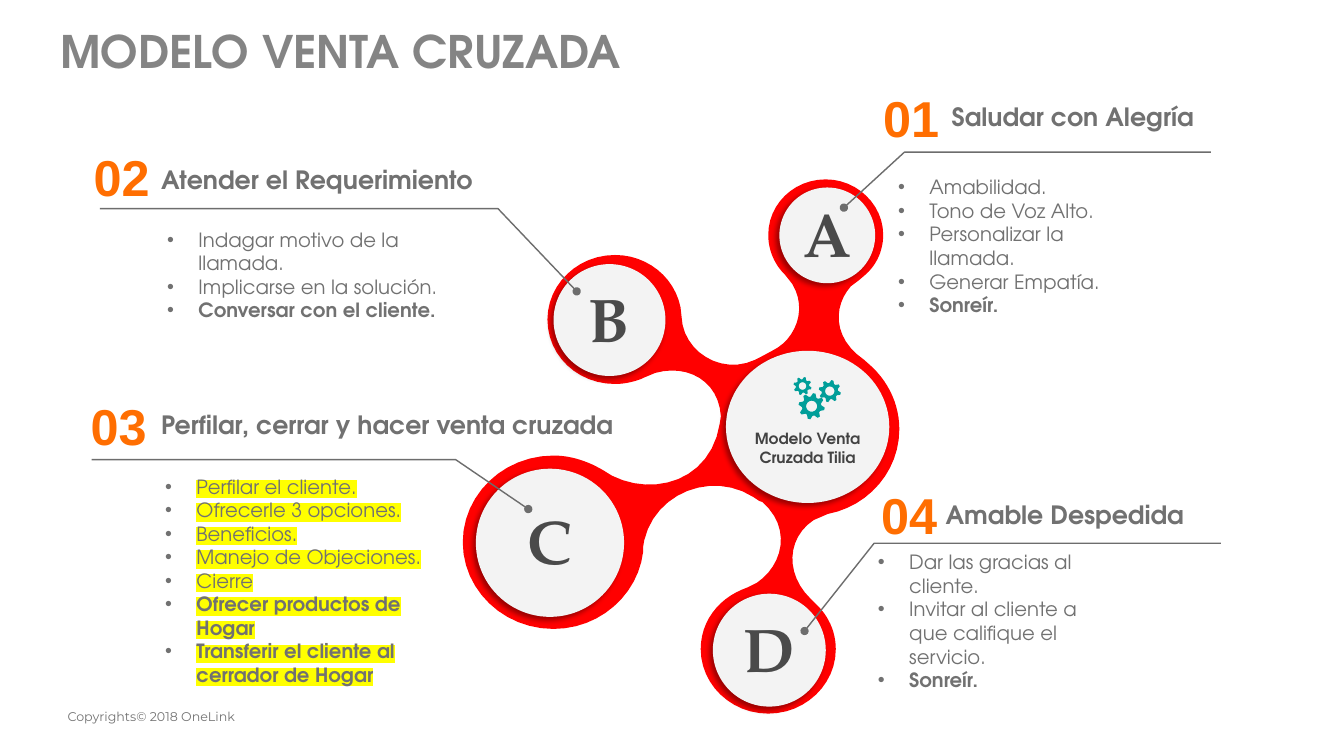
import math
import pptx
import pptx.util
import pptx.dml.color
import pptx.enum.shapes
import pptx.enum.text
import pptx.oxml
import pptx.oxml.ns

RGB = pptx.dml.color.RGBColor
WHITE = RGB(0xFF, 0xFF, 0xFF)
RED = RGB(0xFF, 0x00, 0x00)
ORANGE = RGB(0xFF, 0x6E, 0x01)
TEAL = RGB(0x00, 0x9E, 0x99)
DISC = RGB(0xF3, 0xF3, 0xF3)
LEADER = RGB(0x6D, 0x6D, 0x6D)

SANS = "TeX Gyre Adventor"
TITLE = dict(size=32, name=SANS, bold=True, color=RGB(0x84, 0x84, 0x84))
FOOTER = dict(size=9, name="Montserrat", bold=False, color=RGB(0x73, 0x73, 0x73))
NUMBER = dict(size=36, name="Arial", bold=True, color=ORANGE)
HEADING = dict(size=18, name=SANS, bold=True, color=RGB(0x71, 0x71, 0x71))
DETAIL = HEADING | dict(size=14, bold=False)
LETTER = dict(size=44, name="TeX Gyre Pagella", bold=True, color=RGB(0x4A, 0x4A, 0x4A))
HUB = dict(size=11, name=SANS, bold=True, color=RGB(0x42, 0x42, 0x42))

title = ("MODELO VENTA CRUZADA", (0.5, 0.09, 12.83, 0.9))
footer = ("Copyrights© 2018 OneLink", (0.54, 7.02, 3.71, 0.18))

discs = [
    ("B", (5.49, 2.62, 1.11, 1.11), LETTER, 0.05),
    ("D", (7.07, 5.89, 1.12, 1.12), LETTER, 0.05),
    ("A", (7.73, 1.86, 0.95, 0.95), LETTER, 0.05),
    ("Modelo Venta Cruzada Tilia", (7.2, 3.48, 1.62, 1.51), HUB, 0.52),
    ("C", (4.72, 4.65, 1.47, 1.47), LETTER, 0.05),
]

steps = [
    dict(number="01", number_at=(8.66, 0.82), heading="Saludar con Alegría",
         heading_at=(9.34, 0.96, 2.81, 0.4), leader=[(8.37, 2.06), (8.97, 1.51), (12.01, 1.51)],
         details=["Amabilidad.", "Tono de Voz Alto.", "Personalizar la llamada.",
                  "Generar Empatía.", "Sonreír."],
         details_at=(8.81, 1.69, 2.33, 1.51), bold_from=4, marked=False),
    dict(number="02", number_at=(0.83, 1.4), heading="Atender el Requerimiento",
         heading_at=(1.5, 1.58, 3.5, 0.4), leader=[(5.72, 2.89), (4.94, 2.07), (0.99, 2.07)],
         details=["Indagar motivo de la llamada.", "Implicarse en la solución.",
                  "Conversar con el cliente."],
         details_at=(1.56, 2.21, 3.21, 1.04), bold_from=2, marked=False),
    dict(number="03", number_at=(0.8, 3.87), heading="Perfilar, cerrar y hacer venta cruzada",
         heading_at=(1.5, 4.01, 4.91, 0.4), leader=[(5.24, 5.05), (4.52, 4.56), (0.91, 4.56)],
         details=["Perfilar el cliente.", "Ofrecerle 3 opciones.", "Beneficios.",
                  "Manejo de Objeciones.", "Cierre", "Ofrecer productos de Hogar",
                  "Transferir el cliente al cerrador de Hogar"],
         details_at=(1.54, 4.66, 2.92, 2.46), bold_from=5, marked=True),
    dict(number="04", number_at=(8.64, 4.75), heading="Amable Despedida",
         heading_at=(9.28, 4.9, 3.15, 0.4), leader=[(7.98, 6.26), (8.67, 5.39), (12.11, 5.39)],
         details=["Dar las gracias al cliente.", "Invitar al cliente a que califique el servicio.",
                  "Sonreír."],
         details_at=(8.61, 5.41, 2.33, 1.51), bold_from=2, marked=False),
]

gears = [(7.96, 3.83, 0.09, 10), (8.23, 3.88, 0.11, 8), (8.05, 4.03, 0.13, 6)]

branches = [
    (8.19, 1.78), (8.5, 1.78, 8.76, 2.03, 8.76, 2.33), (8.76, 2.48, 8.7, 2.62, 8.59, 2.72),
    (8.52, 2.78), (8.44, 2.84), (8.27, 3.03, 8.25, 3.35, 8.57, 3.57), (8.66, 3.65),
    (8.82, 3.81, 8.92, 4.02, 8.92, 4.26), (8.92, 4.67, 8.62, 5.02, 8.21, 5.1), (8.07, 5.16),
    (7.8, 5.34, 7.79, 5.7, 8.04, 5.94), (8.09, 5.99), (8.21, 6.1, 8.29, 6.26, 8.29, 6.44),
    (8.29, 6.79, 7.99, 7.08, 7.62, 7.08), (7.25, 7.08, 6.95, 6.79, 6.95, 6.44),
    (6.95, 6.17, 7.12, 5.95, 7.36, 5.85), (7.41, 5.83), (7.51, 5.78),
    (7.76, 5.61, 7.86, 5.24, 7.56, 4.98), (7.53, 4.97), (7.47, 4.93),
    (7.06, 4.67, 6.5, 4.89, 6.39, 5.36), (6.38, 5.42), (6.38, 5.47),
    (6.33, 5.9, 5.95, 6.24, 5.49, 6.24), (4.99, 6.24, 4.59, 5.85, 4.59, 5.38),
    (4.59, 4.91, 4.99, 4.52, 5.49, 4.52), (5.67, 4.52, 5.84, 4.58, 5.99, 4.67), (6.07, 4.72),
    (6.49, 4.93, 7.05, 4.77, 7.14, 4.2), (7.15, 4.13), (7.13, 3.78, 6.82, 3.61, 6.5, 3.7),
    (6.38, 3.75), (6.36, 3.76), (6.28, 3.79, 6.19, 3.81, 6.1, 3.81),
    (5.73, 3.81, 5.43, 3.53, 5.43, 3.17), (5.43, 2.82, 5.73, 2.53, 6.1, 2.53),
    (6.42, 2.53, 6.69, 2.75, 6.75, 3.05), (6.76, 3.14), (6.77, 3.48, 7.15, 3.73, 7.49, 3.57),
    (7.53, 3.55), (7.66, 3.48), (7.89, 3.37, 8.01, 3.07, 7.86, 2.82), (7.79, 2.73),
    (7.78, 2.72), (7.68, 2.62, 7.62, 2.48, 7.62, 2.33), (7.62, 2.03, 7.87, 1.78, 8.19, 1.78),
]

deck = pptx.Presentation()
deck.slide_width, deck.slide_height = pptx.util.Inches(13.33), pptx.util.Inches(7.5)
slide = deck.slides.add_slide(deck.slide_layouts[6])
slide.background.fill.solid()
slide.background.fill.fore_color.rgb = WHITE
MIDDLE = pptx.enum.text.MSO_ANCHOR.MIDDLE
TOP = pptx.enum.text.MSO_ANCHOR.TOP


def element(tag, content="", **attributes):
    pairs = "".join(f' {key}="{value}"' for key, value in attributes.items())
    return pptx.oxml.parse_xml(
        f"<a:{tag} {pptx.oxml.ns.nsdecls('a')}{pairs}>{content}</a:{tag}>")


def write(paragraph, text, style):
    run = paragraph.add_run()
    run.text = text
    formats = dict(size=pptx.util.Pt(style["size"]), name=style["name"], bold=style["bold"])
    for key, value in formats.items():
        setattr(run.font, key, value)
    run.font.color.rgb = style["color"]
    return run


def set_frame(frame, anchor, side, top, bottom):
    margins = dict(margin_left=side, margin_right=side, margin_top=top, margin_bottom=bottom)
    for key, value in margins.items():
        setattr(frame, key, pptx.util.Inches(value))
    frame.word_wrap = True
    frame.vertical_anchor = anchor


def text_box(box, anchor=TOP, side=0.1, edge=0.05):
    frame = slide.shapes.add_textbox(*map(pptx.util.Inches, box)).text_frame
    set_frame(frame, anchor, side, edge, edge)
    return frame


def outline(contours, close=True):
    scaled = [[tuple(map(pptx.util.Inches, point)) for point in contour] for contour in contours]
    builder = slide.shapes.build_freeform(*scaled[0][0])
    for index, contour in enumerate(scaled):
        if index:
            builder.move_to(*contour[0])
        builder.add_line_segments(contour[1:], close=close)
    shape = builder.convert_to_shape()
    shape.shadow.inherit = False
    return shape


def paint(shape, color):
    shape.fill.solid()
    shape.fill.fore_color.rgb = color
    shape.line.fill.background()


def flatten(segments, pieces=12):
    points = [segments[0]]
    for segment in segments[1:]:
        if len(segment) == 2:
            points.append(segment)
            continue
        corners = [points[-1], segment[:2], segment[2:4], segment[4:]]
        for piece in range(1, pieces + 1):
            t = piece / pieces
            weights = [math.comb(3, k) * t ** k * (1 - t) ** (3 - k) for k in range(4)]
            points.append(tuple(sum(w * c[axis] for w, c in zip(weights, corners))
                                for axis in (0, 1)))
    return points


def ring(x, y, radii, count, turn=0):
    return [(x + radii[i % len(radii)] * math.cos(turn + math.tau * i / count),
             y + radii[i % len(radii)] * math.sin(turn + math.tau * i / count))
            for i in range(count)]


heading = text_box(title[1], MIDDLE).paragraphs[0]
heading.line_spacing = 0.9
write(heading, title[0], TITLE)
write(text_box(footer[1], MIDDLE, 0.13, 0.07).paragraphs[0], footer[0], FOOTER)
paint(outline([flatten(branches)]), RED)

for label, box, style, top in discs:
    disc = slide.shapes.add_shape(pptx.enum.shapes.MSO_SHAPE.OVAL, *map(pptx.util.Inches, box))
    paint(disc, DISC)
    disc.shadow.inherit = False
    disc._element.spPr.find(pptx.oxml.ns.qn("a:effectLst")).append(element(
        "outerShdw", '<a:srgbClr val="000000"><a:alpha val="40000"/></a:srgbClr>',
        blurRad=pptx.util.Pt(4), dist=pptx.util.Pt(3), dir=135 * 60000, rotWithShape=0))
    set_frame(disc.text_frame, MIDDLE, 0.02, top, 0.1)
    disc.text_frame.paragraphs[0].alignment = pptx.enum.text.PP_ALIGN.CENTER
    write(disc.text_frame.paragraphs[0], label, style)

for x, y, radius, turn in gears:
    teeth = ring(x, y, [radius, radius, radius * 0.74, radius * 0.74], 32, math.radians(turn))
    paint(outline([teeth, ring(x, y, [radius * 0.42], 24)[::-1]]), TEAL)

for step in steps:
    write(text_box((*step["number_at"], 0.81, 0.57)).paragraphs[0], step["number"], NUMBER)
    write(text_box(step["heading_at"]).paragraphs[0], step["heading"], HEADING)
    leader = outline([step["leader"]], close=False)
    leader.fill.background()
    leader.line.color.rgb = LEADER
    leader.line.width = pptx.util.Pt(1)
    leader.line._get_or_add_ln().append(element("headEnd", type="oval"))
    details = text_box(step["details_at"])
    for index, detail in enumerate(step["details"]):
        paragraph = details.add_paragraph() if index else details.paragraphs[0]
        properties = paragraph._p.get_or_add_pPr()
        indent = pptx.util.Inches(0.31)
        properties.set("marL", str(indent))
        properties.set("indent", str(-indent))
        properties.append(element("buFont", typeface="Arial"))
        properties.append(element("buChar", char="•"))
        run = write(paragraph, detail, DETAIL | dict(bold=index >= step["bold_from"]))
        if step["marked"]:
            run._r.rPr.find(pptx.oxml.ns.qn("a:solidFill")).addnext(
                element("highlight", '<a:srgbClr val="FFFF00"/>'))

deck.save("out.pptx")
